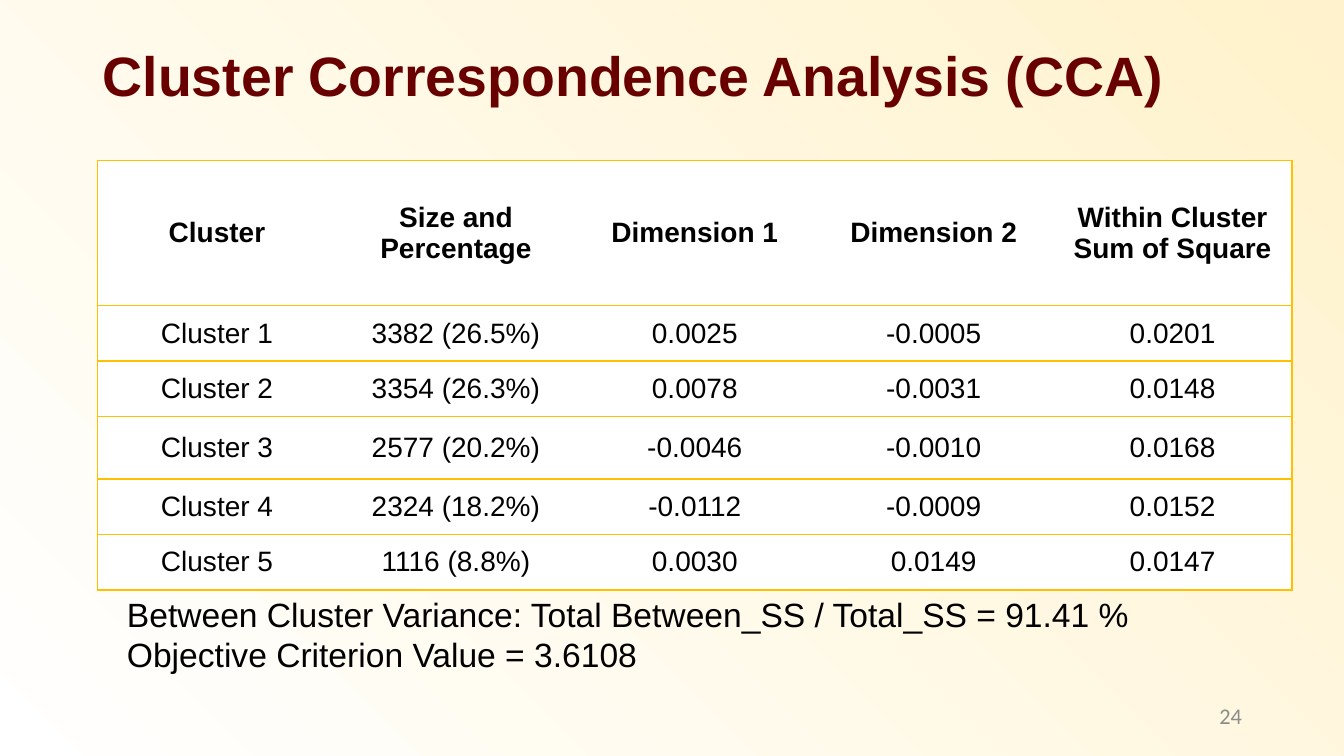
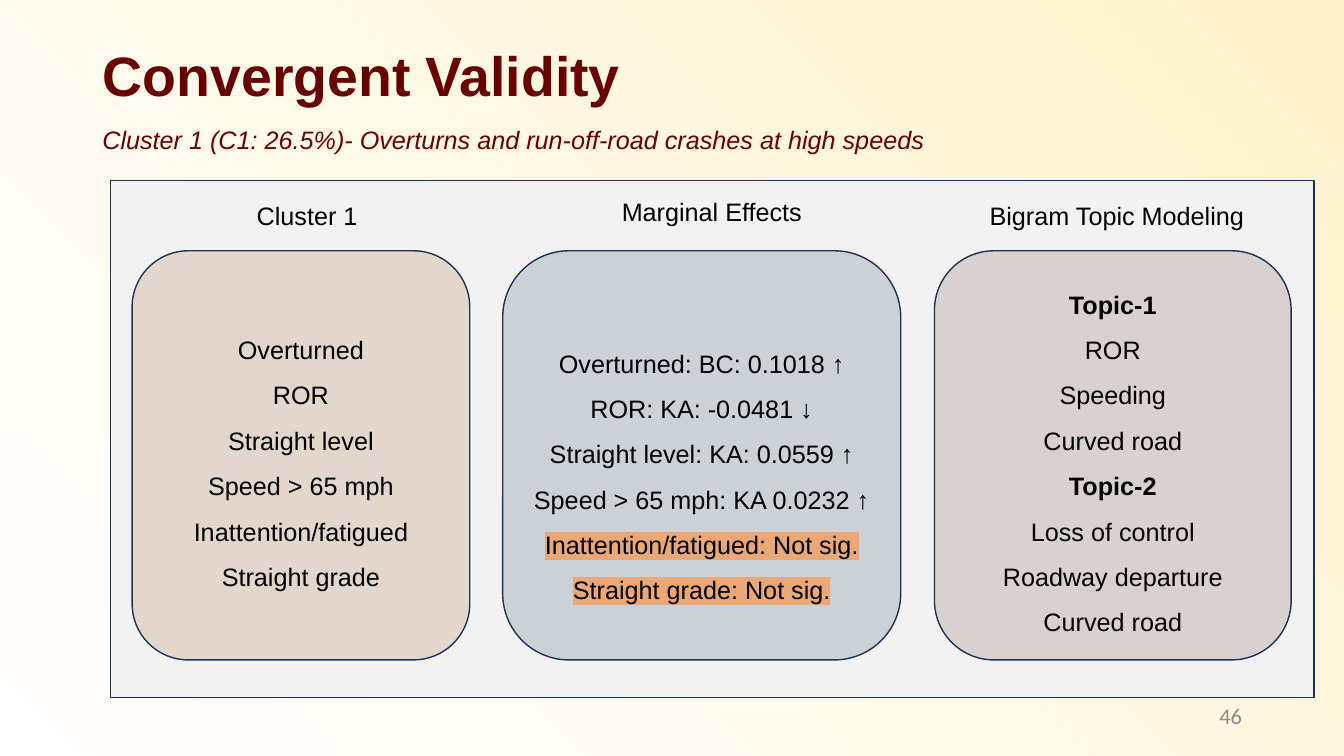
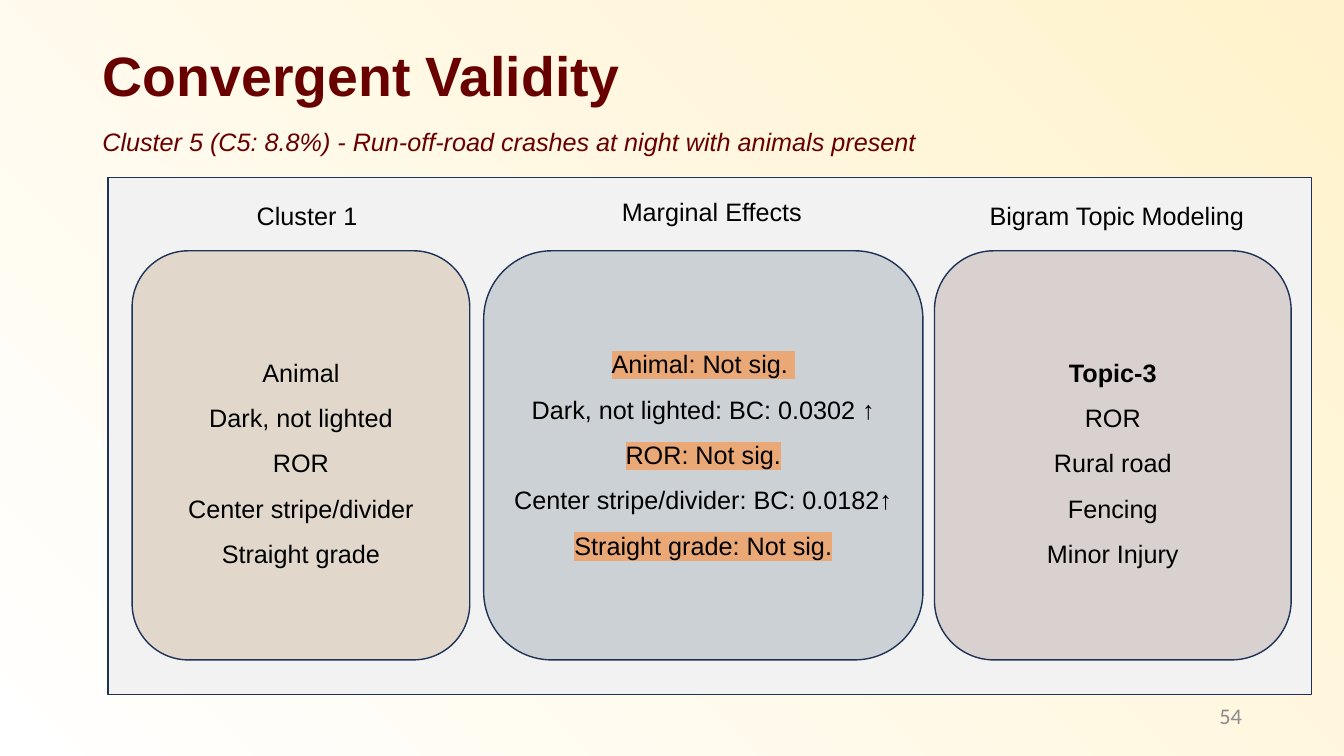
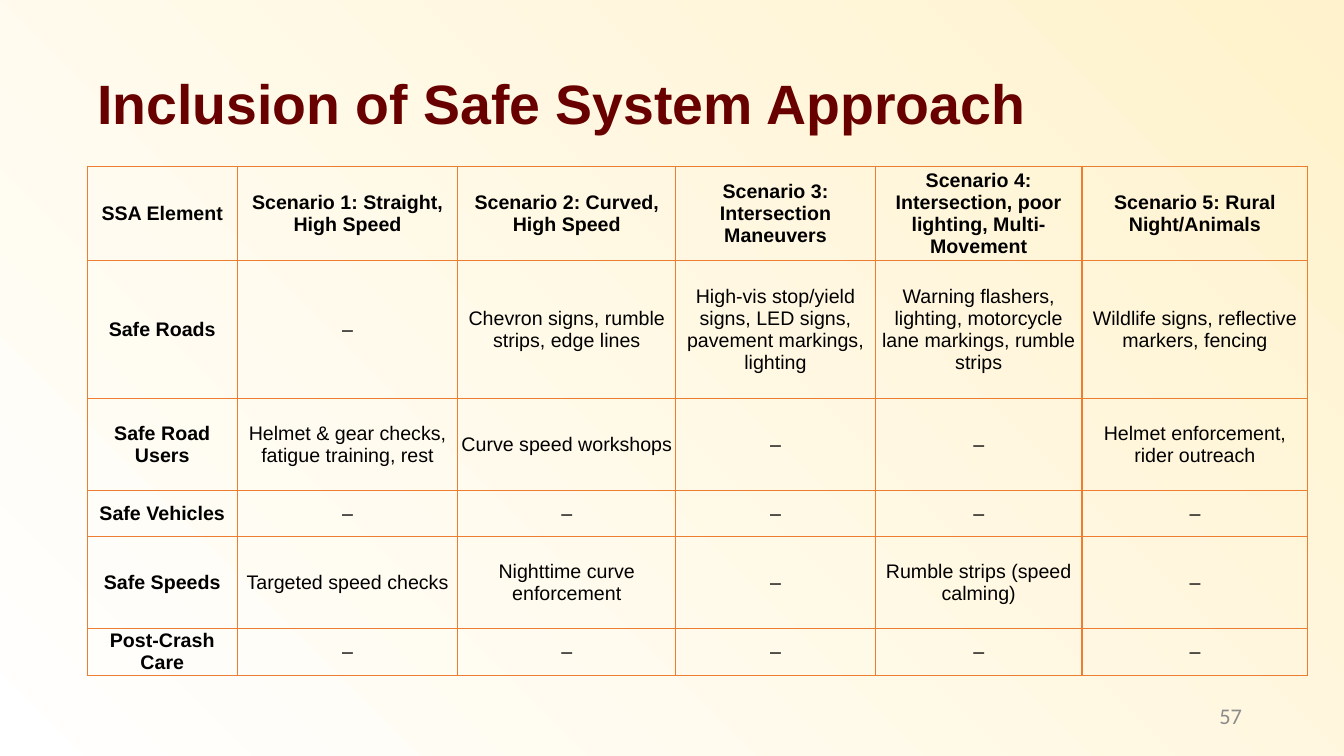
from lxml import etree
from pptx import Presentation
from pptx import util as u
from pptx.dml.color import RGBColor
from pptx.enum import shapes, text
from pptx.oxml import ns

COLOURS = {
    "cream": "FFF2CC",
    "white": "FFFFFF",
    "maroon": "680000",
    "black": "000000",
    "grey": "8C8C8C",
    "panel": "F2F2F2",
    "navy": "1E3256",
    "tan": "BD9C71",
    "slate": "768692",
    "mauve": "C1B1AF",
    "highlight": "EAA876",
    "gold": "FFC000",
    "orange": "ED7D31",
}
FONT = "Arial"
CARD_TOP, CARD_HEIGHT = 6.32, 10.31
LEFT, CENTER, RIGHT = text.PP_ALIGN.LEFT, text.PP_ALIGN.CENTER, text.PP_ALIGN.RIGHT
MIDDLE, TOP = text.MSO_ANCHOR.MIDDLE, text.MSO_ANCHOR.TOP


def rgb(name):
    return RGBColor.from_string(COLOURS[name])


def place(left, top, width, height):
    return [u.Cm(value) for value in (left, top, width, height)]


def add_colour_xml(parent, tag, colour):
    """Append a DrawingML element that holds one plain colour."""
    element = etree.SubElement(parent, ns.qn(tag))
    etree.SubElement(element, ns.qn("a:srgbClr"), val=COLOURS[colour])


# Text
def style_paragraph(paragraph, size, colour="black", bold=False, italic=False,
                    align=LEFT, spacing=None, font=FONT):
    paragraph.alignment = align
    if spacing:
        paragraph.line_spacing = spacing
    paragraph.font.name = font
    paragraph.font.size = u.Pt(size)
    paragraph.font.bold = bold
    paragraph.font.italic = italic
    paragraph.font.color.rgb = rgb(colour)


def add_text(slide, words, box, size, anchor=TOP, **style):
    frame = slide.shapes.add_textbox(*place(*box)).text_frame
    frame.word_wrap = True
    frame.vertical_anchor = anchor
    paragraph = frame.paragraphs[0]
    paragraph.text = words
    style_paragraph(paragraph, size, **style)


# Parts every slide shares
def set_background(master):
    fill = master.background.fill
    fill.gradient()
    fill.gradient_angle = 225
    for stop, colour in zip(fill.gradient_stops, ("cream", "white")):
        stop.color.rgb = rgb(colour)


def add_slide(presentation, title, number, left=2.34, top=1.02):
    slide = presentation.slides.add_slide(presentation.slide_layouts[6])
    add_text(slide, title, (left, top, 30.5, 1.9), 39.6, MIDDLE,
             colour="maroon", bold=True, spacing=0.9)
    add_text(slide, str(number), (23.93, 17.53, 7.62, 1.02), 16, MIDDLE,
             colour="grey", align=RIGHT, font="Calibri")
    return slide


# Tables
def set_borders(cell, colours):
    properties = cell._tc.get_or_add_tcPr()
    for side, colour in zip("LRTB", colours):
        line = etree.SubElement(properties, ns.qn(f"a:ln{side}"), w=str(u.Pt(1)))
        if colour:
            add_colour_xml(line, "a:solidFill", colour)
        else:
            etree.SubElement(line, ns.qn("a:noFill"))


def add_table(slide, rows, left, top, widths, heights, size, line, side_margin,
              fill=None, inner_verticals=True, bold_first_column=False):
    box = place(left, top, sum(widths), sum(heights))
    table = slide.shapes.add_table(len(rows), len(widths), *box).table
    table.first_row = table.horz_banding = False
    for column, width in zip(table.columns, widths):
        column.width = u.Cm(width)
    last = len(widths) - 1
    for i, (row, height) in enumerate(zip(rows, heights)):
        table.rows[i].height = u.Cm(height)
        for j, words in enumerate(row):
            cell = table.cell(i, j)
            cell.margin_left = cell.margin_right = u.Cm(side_margin)
            cell.margin_top = cell.margin_bottom = 0
            cell.vertical_anchor = MIDDLE
            set_borders(cell, (line if inner_verticals or j == 0 else None,
                               line if inner_verticals or j == last else None,
                               line, line))
            if fill:
                cell.fill.solid()
                cell.fill.fore_color.rgb = rgb(fill)
            else:
                cell.fill.background()
            paragraph = cell.text_frame.paragraphs[0]
            paragraph.text = words
            style_paragraph(paragraph, size, align=CENTER,
                            bold=i == 0 or (bold_first_column and j == 0))


# Cards on a panel
def add_box(slide, kind, box, fill, opacity=100):
    shape = slide.shapes.add_shape(kind, *place(*box))
    shape.shadow.inherit = False
    shape.fill.solid()
    shape.fill.fore_color.rgb = rgb(fill)
    if opacity < 100:
        colour = shape._element.spPr.find(ns.qn("a:solidFill"))[0]
        etree.SubElement(colour, ns.qn("a:alpha"), val=str(opacity * 1000))
    shape.line.color.rgb = rgb("navy")
    shape.line.width = u.Pt(1)
    return shape


def add_card(slide, left, width, fill, opacity, lines, top_margin=None):
    """A rounded card; lines are centred unless a top margin is given."""
    shape = add_box(slide, shapes.MSO_SHAPE.ROUNDED_RECTANGLE,
                    (left, CARD_TOP, width, CARD_HEIGHT), fill, opacity)
    frame = shape.text_frame
    frame.word_wrap = True
    frame.margin_left = frame.margin_right = u.Cm(0.1)
    frame.vertical_anchor = MIDDLE
    if top_margin:
        frame.vertical_anchor = TOP
        frame.margin_top = u.Cm(top_margin)
    for i, line in enumerate(lines):
        paragraph = frame.add_paragraph() if i else frame.paragraphs[0]
        paragraph.text = line
        style_paragraph(paragraph, 18, align=CENTER, spacing=1.5,
                        bold=line.startswith("Topic-"))
        if "Not sig." in line:
            add_colour_xml(paragraph.runs[0]._r.get_or_add_rPr(),
                           "a:highlight", "highlight")


def add_validity_slide(presentation, number, subtitle, subtitle_top, panel_corner,
                       effects_box, cluster, effects, topics):
    slide = add_slide(presentation, "Convergent Validity", number)
    add_text(slide, subtitle, (2.33, subtitle_top, 28.04, 1.03), 18,
             colour="maroon", italic=True)
    add_box(slide, shapes.MSO_SHAPE.RECTANGLE, (*panel_corner, 30.33, 13.03), "panel")
    for label, left, top, width in (("Cluster 1", 6.22, 4.93, 3.35),
                                    ("Marginal Effects", 15.42, 4.83, 5.46),
                                    ("Bigram Topic Modeling", 24.69, 4.93, 7.49)):
        add_text(slide, label, (left, top, width, 1.03), 18)
    add_card(slide, 3.33, 8.51, "tan", 30, cluster)
    add_card(slide, *effects_box, "slate", 30, effects, top_margin=1.58)
    add_card(slide, 23.55, 8.99, "mauve", 50, topics)


# Slides
def add_analysis_slide(presentation):
    slide = add_slide(presentation, "Cluster Correspondence Analysis (CCA)", 24)
    rows = [
        ("Cluster", "Size and Percentage", "Dimension 1", "Dimension 2",
         "Within Cluster Sum of Square"),
        ("Cluster 1", "3382 (26.5%)", "0.0025", "-0.0005", "0.0201"),
        ("Cluster 2", "3354 (26.3%)", "0.0078", "-0.0031", "0.0148"),
        ("Cluster 3", "2577 (20.2%)", "-0.0046", "-0.0010", "0.0168"),
        ("Cluster 4", "2324 (18.2%)", "-0.0112", "-0.0009", "0.0152"),
        ("Cluster 5", "1116 (8.8%)", "0.0030", "0.0149", "0.0147"),
    ]
    add_table(slide, rows, 2.46, 4.04, [6.02] * 5, [3.66, 1.4, 1.4, 1.57, 1.4, 1.4],
              20, "gold", 0.18, fill="white", inner_verticals=False)
    add_text(slide, "Between Cluster Variance: Total Between_SS / Total_SS = 91.41 %\n"
             "Objective Criterion Value = 3.6108", (2.95, 14.83, 28.78, 2.31), 24)


def add_safe_system_slide(presentation):
    slide = add_slide(presentation, "Inclusion of Safe System Approach", 57, 2.21, 1.73)
    rows = [
        ("SSA Element", "Scenario 1: Straight, High Speed",
         "Scenario 2: Curved, High Speed", "Scenario 3: Intersection Maneuvers",
         "Scenario 4: Intersection, poor lighting, Multi-Movement",
         "Scenario 5: Rural Night/Animals"),
        ("Safe Roads", "–", "Chevron signs, rumble strips, edge lines",
         "High-vis stop/yield signs, LED signs, pavement markings, lighting",
         "Warning flashers, lighting, motorcycle lane markings, rumble strips",
         "Wildlife signs, reflective markers, fencing"),
        ("Safe Road Users", "Helmet & gear checks, fatigue training, rest",
         "Curve speed workshops", "–", "–", "Helmet enforcement, rider outreach"),
        ("Safe Vehicles", "–", "–", "–", "–", "–"),
        ("Safe Speeds", "Targeted speed checks", "Nighttime curve enforcement", "–",
         "Rumble strips (speed calming)", "–"),
        ("Post-Crash Care", "–", "–", "–", "–", "–"),
    ]
    add_table(slide, rows, 2.2, 4.19, [3.78, 5.56, 5.49, 5.03, 5.21, 5.69],
              [2.31, 3.48, 2.31, 1.17, 2.31, 1.17], 14, "orange", 0.03,
              bold_first_column=True)


def main():
    presentation = Presentation()
    presentation.slide_width, presentation.slide_height = u.Cm(33.87), u.Cm(19.05)
    set_background(presentation.slide_master)

    add_analysis_slide(presentation)
    add_validity_slide(
        presentation, 46,
        "Cluster 1 (C1: 26.5%)- Overturns and run-off-road crashes at high speeds",
        3.0, (2.79, 4.55), (12.67, 10.03),
        ["Overturned", "ROR", "Straight level", "Speed > 65 mph",
         "Inattention/fatigued", "Straight grade"],
        ["Overturned: BC: 0.1018 ↑", "ROR: KA: -0.0481 ↓",
         "Straight level: KA: 0.0559 ↑", "Speed > 65 mph: KA 0.0232 ↑",
         "Inattention/fatigued: Not sig.", "Straight grade: Not sig."],
        ["Topic-1", "ROR", "Speeding", "Curved road",
         "Topic-2", "Loss of control", "Roadway departure", "Curved road"])
    add_validity_slide(
        presentation, 54,
        "Cluster 5 (C5: 8.8%) - Run-off-road crashes at night with animals present",
        3.05, (2.72, 4.47), (12.19, 11.07),
        ["Animal", "Dark, not lighted", "ROR", "Center stripe/divider",
         "Straight grade"],
        ["Animal: Not sig. ", "Dark, not lighted: BC: 0.0302 ↑", "ROR: Not sig.",
         "Center stripe/divider: BC: 0.0182↑", "Straight grade: Not sig."],
        ["Topic-3", "ROR", "Rural road", "Fencing", "Minor Injury"])
    add_safe_system_slide(presentation)

    presentation.save("out.pptx")


if __name__ == "__main__":
    main()
